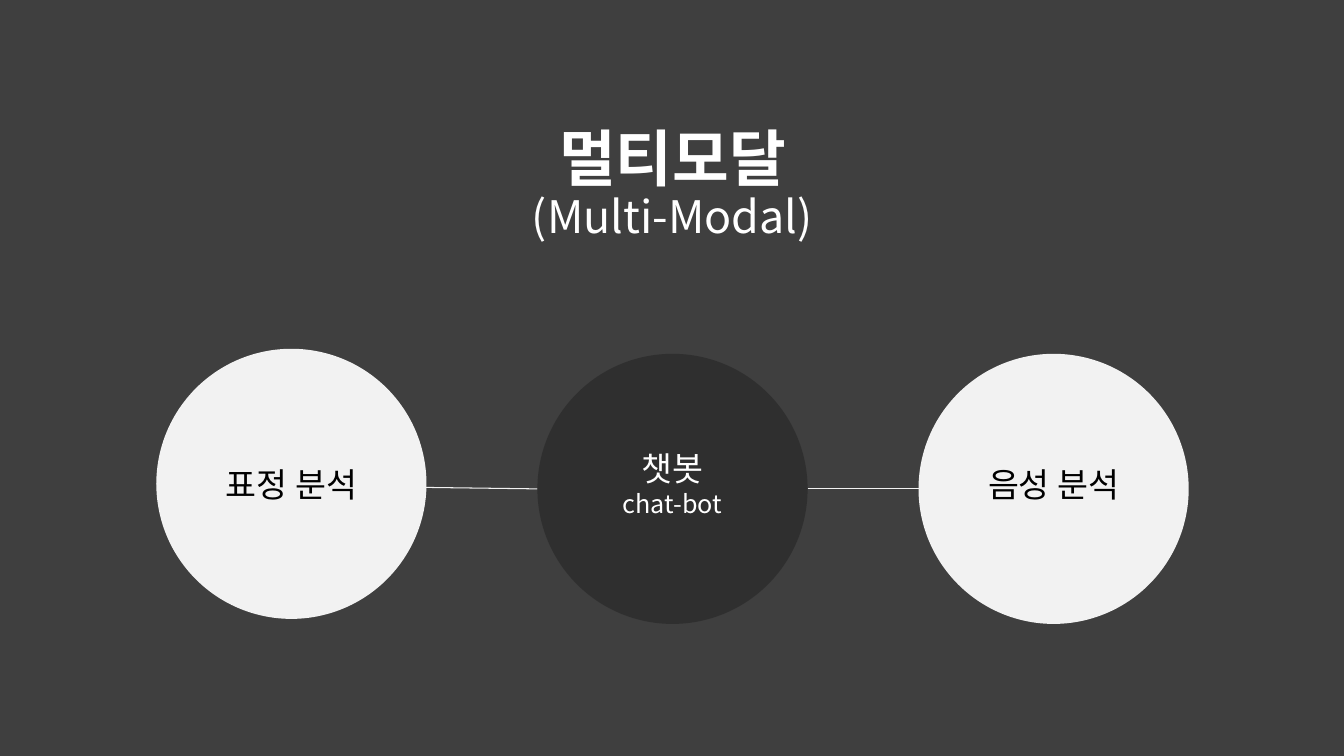
from lxml import etree
from pptx import Presentation
from pptx.dml.color import RGBColor
from pptx.enum.shapes import MSO_CONNECTOR, MSO_SHAPE
from pptx.enum.text import MSO_ANCHOR, PP_ALIGN
from pptx.oxml.ns import qn
from pptx.util import Inches, Pt

STRAIGHT = MSO_CONNECTOR.STRAIGHT
OVAL = MSO_SHAPE.OVAL
CENTER = PP_ALIGN.CENTER
TOP, MIDDLE = MSO_ANCHOR.TOP, MSO_ANCHOR.MIDDLE
FONT = "Noto Sans CJK KR"
COLORS = {
    "background": "3F3F3F",
    "light": "F2F2F2",
    "dark": "262626",
    "white": "FFFFFF",
    "black": "000000",
}
DIAMETER = 2.68
LABEL_INSET = 0.04


def color(name):
    """Return the named colour."""
    return RGBColor.from_string(COLORS[name])


def add_span(para, text, size, color_name, bold=False):
    """Add one styled run to a paragraph."""
    span = para.add_run()
    span.text = text
    span.font.size = Pt(size)
    span.font.bold = bold
    span.font.color.rgb = color(color_name)
    span.font.name = FONT
    east_asian = etree.SubElement(span.font._element, qn("a:ea"))
    east_asian.set("typeface", FONT)


def add_text_box(page, left, top, width, height, anchor):
    """Add a wrapping text box and return its text frame."""
    box = page.shapes.add_textbox(
        Inches(left), Inches(top), Inches(width), Inches(height))
    frame = box.text_frame
    frame.word_wrap = True
    frame.vertical_anchor = anchor
    return frame


def add_title(page, left, top, width, height):
    """Place the two-line title in the given box."""
    frame = add_text_box(page, left, top, width, height, MIDDLE)
    para = frame.paragraphs[0]
    para.alignment = CENTER
    para.line_spacing = 0.9
    add_span(para, "멀티모달", 44, "white", bold=True)
    para.add_line_break()
    add_span(para, "(Multi-Modal)", 32, "white")


def add_link(page, start, end):
    """Draw a thin line between two points."""
    link = page.shapes.add_connector(
        STRAIGHT, *(Inches(value) for value in (*start, *end)))
    link.line.color.rgb = color("light")
    link.line.width = Pt(0.75)
    etree.SubElement(link._element.spPr, qn("a:effectLst"))


def add_circle(page, left, top, fill, opacity=100):
    """Draw one borderless circle."""
    circle = page.shapes.add_shape(
        OVAL, Inches(left), Inches(top), Inches(DIAMETER), Inches(DIAMETER))
    circle.shadow.inherit = False
    circle.fill.solid()
    circle.fill.fore_color.rgb = color(fill)
    circle.line.fill.background()
    if opacity < 100:
        tint = circle._element.spPr.find(f".//{qn('a:srgbClr')}")
        etree.SubElement(tint, qn("a:alpha")).set("val", str(opacity * 1000))


def add_label(page, left, top, height, lines, color_name):
    """Write centred lines across the circle that starts at left."""
    frame = add_text_box(page, left + LABEL_INSET, top,
                         DIAMETER - 2 * LABEL_INSET, height, TOP)
    for index, (text, size) in enumerate(lines):
        para = frame.add_paragraph() if index else frame.paragraphs[0]
        para.alignment = CENTER
        add_span(para, text, size, color_name)


def add_modes(page, left, top, pitch):
    """Place the chat-bot circle between its two linked analysis circles."""
    face, bot, voice = (left + pitch * step for step in range(3))
    middle = top + DIAMETER / 2
    add_link(page, (face, middle - 0.05), (bot, middle))
    add_circle(page, bot, top, "dark", opacity=61)
    add_label(page, bot, top + 0.88, 0.81,
              [("챗봇", 24), ("chat-bot", 18)], "white")
    add_circle(page, face, top - 0.05, "light")
    add_circle(page, voice, top, "light")
    for start, text in ((face, "표정 분석"), (voice, "음성 분석")):
        add_label(page, start, top + 1.04, 0.5, [(text, 24)], "black")
    add_link(page, (bot + DIAMETER, middle), (voice, middle))


def main():
    """Build and save the deck."""
    deck = Presentation()
    deck.slide_width, deck.slide_height = Inches(13.33), Inches(7.5)
    page = deck.slides.add_slide(deck.slide_layouts[6])
    page.background.fill.solid()
    page.background.fill.fore_color.rgb = color("background")
    add_title(page, 0.92, 1.12, 11.5, 1.45)
    add_modes(page, 1.55, 3.51, 3.78)
    deck.save("out.pptx")


if __name__ == "__main__":
    main()
